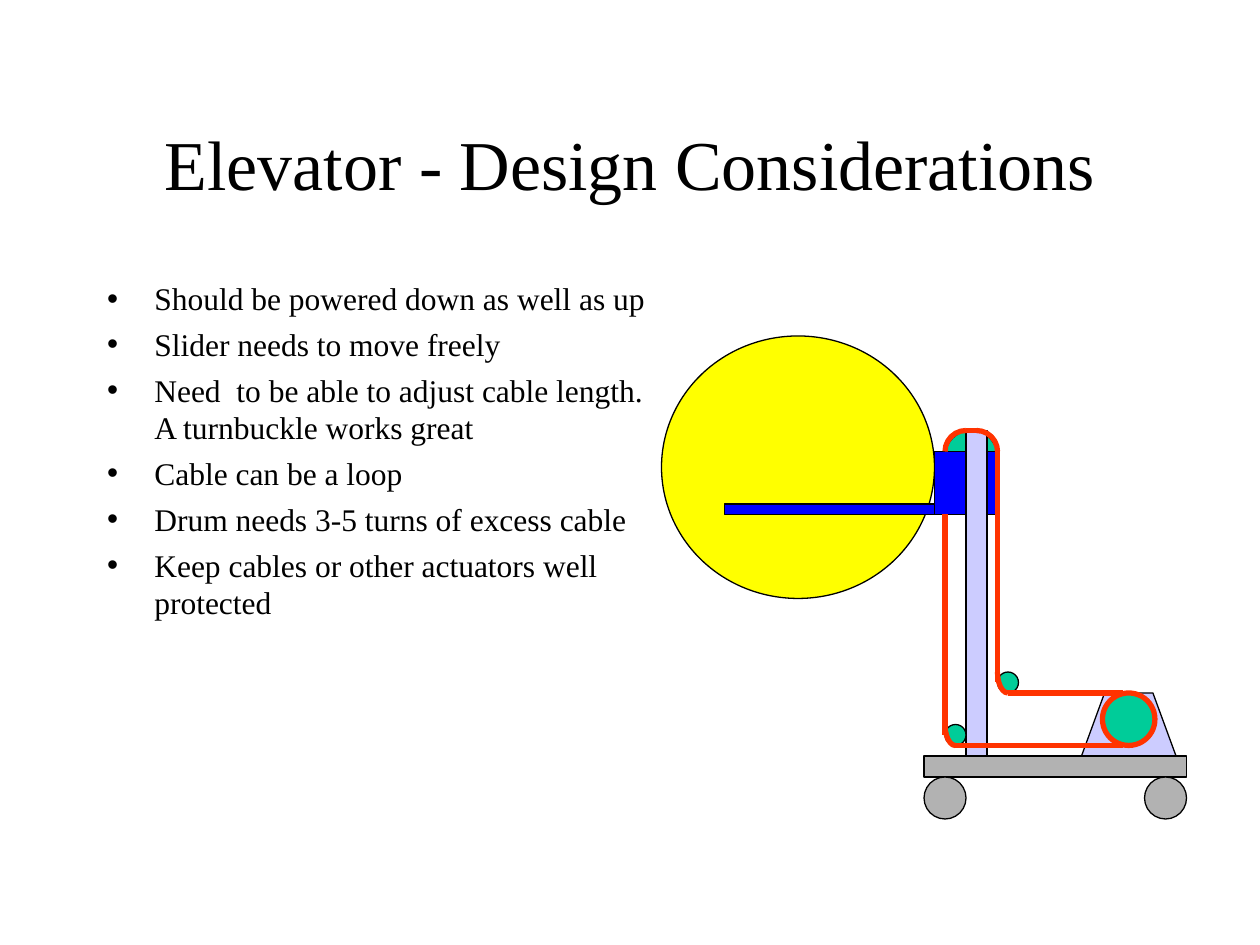
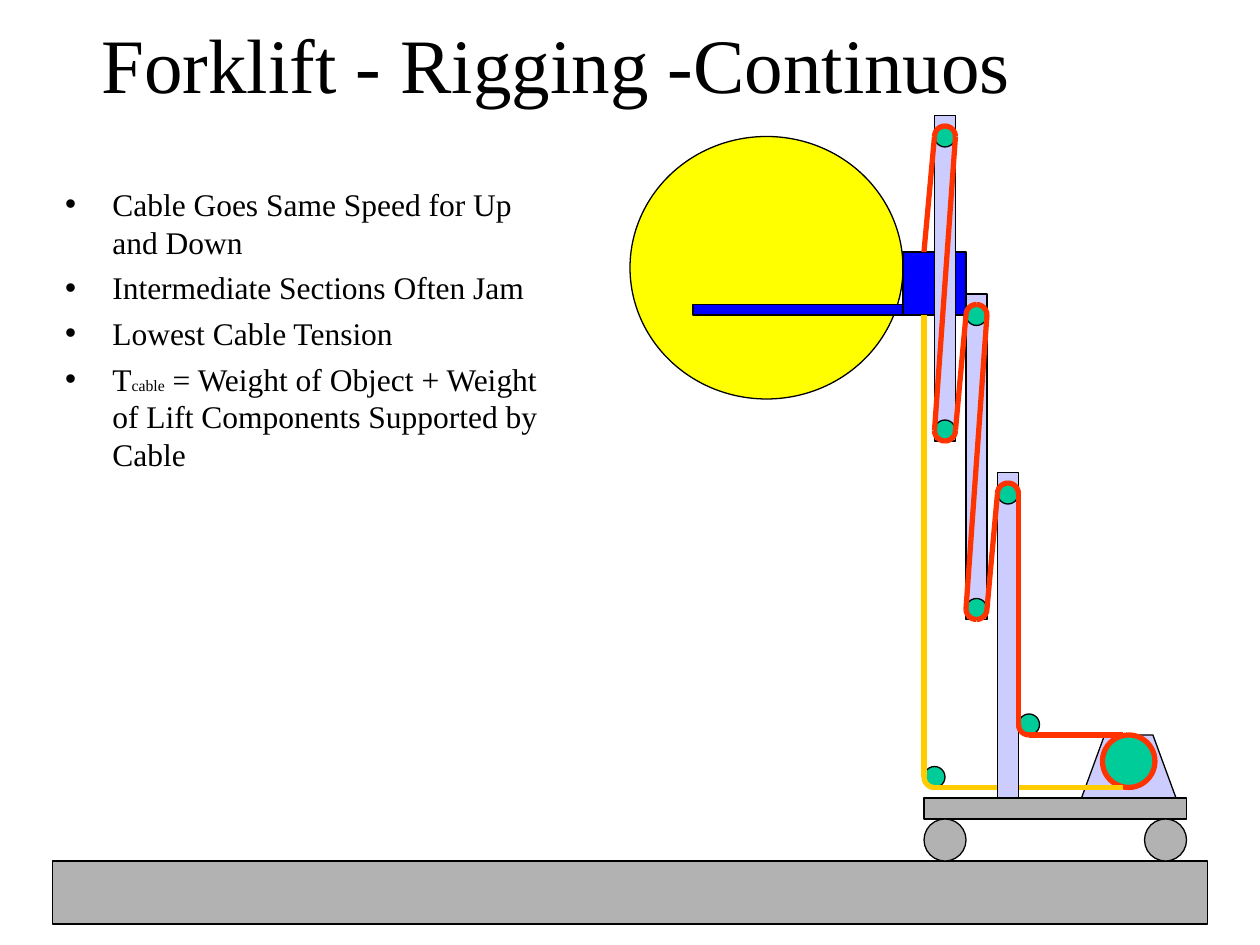
import pptx
import pptx.dml.color
import pptx.enum.shapes
import pptx.enum.text
import pptx.oxml.ns
import pptx.util
import lxml.etree

RGBColor = pptx.dml.color.RGBColor
MSO_SHAPE = pptx.enum.shapes.MSO_SHAPE

BLACK = RGBColor(0x00, 0x00, 0x00)
PULLEY_GREEN = RGBColor(0x00, 0xCC, 0x99)
BALL_YELLOW = RGBColor(0xFF, 0xFF, 0x00)
SLIDER_BLUE = RGBColor(0x00, 0x00, 0xFF)
MAST_LILAC = RGBColor(0xCC, 0xCC, 0xFF)
CART_GREY = RGBColor(0xB2, 0xB2, 0xB2)
CABLE_RED = RGBColor(0xFF, 0x33, 0x00)
RETURN_ORANGE = RGBColor(0xFF, 0xCC, 0x00)

FONT = "Times New Roman"
COLUMNS, ROWS = 120, 90
OUTLINE, CABLE = 0.75, 3
BODY_SIZE = 18
MAST_HEIGHT = 31
RIGHT, BOTTOM, LEFT, TOP = 0, 90, 180, 270


class Sketch:
    def __init__(self, deck):
        self.deck = deck
        self.column = deck.slide_width / COLUMNS
        self.row = deck.slide_height / ROWS
        self.slide = None

    def new_slide(self):
        self.slide = self.deck.slides.add_slide(self.deck.slide_layouts[1])

    def point(self, x, y):
        return round(x * self.column), round(y * self.row)

    def place(self, holder, x, y, width, height):
        holder.left, holder.top = self.point(x, y)
        holder.width, holder.height = self.point(width, height)
        frame = holder.text_frame
        frame.word_wrap = True
        frame.auto_size = pptx.enum.text.MSO_AUTO_SIZE.NONE
        return frame

    def add_words(self, paragraph, words, size):
        run = paragraph.add_run()
        run.text = words
        run.font.name = FONT
        run.font.size = pptx.util.Pt(size)
        run.font.color.rgb = BLACK

    def title(self, words, box, size):
        frame = self.place(self.slide.shapes.title, *box)
        frame.vertical_anchor = pptx.enum.text.MSO_ANCHOR.MIDDLE
        heading = frame.paragraphs[0]
        heading.alignment = pptx.enum.text.PP_ALIGN.CENTER
        self.add_words(heading, words, size)

    def bullets(self, points, box):
        frame = self.place(self.slide.placeholders[1], *box)
        frame.vertical_anchor = pptx.enum.text.MSO_ANCHOR.TOP
        indent = pptx.util.Inches(0.375)
        for index, runs in enumerate(points):
            point = frame.add_paragraph() if index else frame.paragraphs[0]
            point.space_before = pptx.util.Pt(4.5)
            properties = point._p.get_or_add_pPr()
            properties.set("marL", str(indent))
            properties.set("indent", str(-indent))
            bullet = lxml.etree.SubElement(properties, pptx.oxml.ns.qn("a:buChar"))
            bullet.set("char", "•")
            for words, size in runs:
                self.add_words(point, words, size)

    def paint(self, shape, fill, line, weight):
        shape.shadow.inherit = False
        if fill is None:
            shape.fill.background()
        else:
            shape.fill.solid()
            shape.fill.fore_color.rgb = fill
        shape.line.color.rgb = line
        shape.line.width = pptx.util.Pt(weight)
        return shape

    def preset(self, kind, box, fill, line=BLACK, weight=OUTLINE):
        x, y, width, height = box
        shape = self.slide.shapes.add_shape(
            kind, *self.point(x, y), *self.point(width, height))
        return self.paint(shape, fill, line, weight)

    def bar(self, box, fill):
        self.preset(MSO_SHAPE.RECTANGLE, box, fill)

    def disc(self, box, fill, **outline):
        self.preset(MSO_SHAPE.OVAL, box, fill, **outline)

    def bend(self, box, start, fill=None, color=CABLE_RED):
        arc = self.preset(MSO_SHAPE.ARC, box, fill, color, CABLE)
        arc.adjustments[0] = start * 0.6
        arc.adjustments[1] = (start + 90) % 360 * 0.6

    def cable(self, start, end, color=CABLE_RED):
        strand = self.slide.shapes.add_connector(
            pptx.enum.shapes.MSO_CONNECTOR.STRAIGHT,
            *self.point(*start), *self.point(*end))
        strand.line.color.rgb = color
        strand.line.width = pptx.util.Pt(CABLE)
        lxml.etree.SubElement(strand._element.spPr, pptx.oxml.ns.qn("a:effectLst"))

    def polygon(self, corners, fill):
        first, *rest = [self.point(*corner) for corner in corners]
        builder = self.slide.shapes.build_freeform(*first, scale=1.0)
        builder.add_line_segments(rest, close=True)
        self.paint(builder.convert_to_shape(), fill, BLACK, OUTLINE)

    def mast(self, x, y):
        self.bar((x, y, 2, MAST_HEIGHT), MAST_LILAC)

    def idler(self, x, y):
        self.disc((x, y, 2, 2), PULLEY_GREEN)

    def sheave(self, x, y, quadrants):
        self.idler(x, y)
        for start in quadrants:
            self.bend((x, y, 2, 2), start, PULLEY_GREEN)

    def load(self, x, y):
        self.disc((x, y, 26, 25), BALL_YELLOW)
        self.bar((x + 26, y + 11, 6, 6), SLIDER_BLUE)
        self.bar((x + 6, y + 16, 20, 1), SLIDER_BLUE)

    def cart(self, deck_row):
        mount_row = deck_row - 6
        self.polygon([(103, deck_row), (112, deck_row),
                      (109.8, mount_row), (105.2, mount_row)], MAST_LILAC)
        self.bar((88, deck_row, 25, 2), CART_GREY)
        for wheel in (88, 109):
            self.disc((wheel, deck_row + 2, 4, 4), CART_GREY)
        drum = (105, mount_row, 5, 5)
        self.disc(drum, PULLEY_GREEN)
        self.disc(drum, None, line=CABLE_RED, weight=CABLE)


def plain(*points):
    return [[(words, BODY_SIZE)] for words in points]


def elevator(sketch):
    sketch.new_slide()
    sketch.title("Elevator - Design Considerations", (0, 8, 120, 15), 40)
    sketch.bullets(plain(
        "Should be powered down as well as up",
        "Slider needs to move freely",
        "Need  to be able to adjust cable length. A turnbuckle works great",
        "Cable can be a loop",
        "Drum needs 3-5 turns of excess cable",
        "Keep cables or other actuators well protected",
    ), (9, 26, 54, 54))
    sketch.disc((90, 41, 5, 5), PULLEY_GREEN)
    sketch.load(63, 32)
    sketch.cart(72)
    sketch.mast(92, 41)
    sketch.idler(90, 69)
    sketch.idler(95, 64)
    sketch.bend((91, 41, 4, 4), TOP)
    sketch.bend((90, 41, 4, 4), LEFT)
    sketch.bend((90, 67, 2, 4), BOTTOM)
    sketch.bend((95, 62, 2, 4), BOTTOM)
    sketch.cable((96, 66), (107, 66))
    sketch.cable((91, 71), (107, 71))
    sketch.cable((92, 41), (93, 41))
    sketch.cable((95, 43), (95, 65))
    sketch.cable((90, 70), (90, 49))


def forklift(sketch):
    sketch.new_slide()
    sketch.title("Forklift - Rigging -Continuos", (3, 2, 100, 8), 44)
    sketch.bullets(plain(
        "Cable Goes Same Speed for Up and Down",
        "Intermediate Sections Often Jam",
        "Lowest Cable Tension",
    ) + [[
        ("T", BODY_SIZE),
        ("cable", 9),
        (" = Weight of Object + Weight of Lift Components Supported by Cable", BODY_SIZE),
    ]], (5, 17, 50, 68))
    sketch.bar((5, 82, 110, 6), CART_GREY)
    sketch.cart(76)
    sketch.idler(88, 73)
    sketch.idler(97, 68)
    sketch.cable((98, 70), (107, 70))
    sketch.cable((89, 75), (107, 75), RETURN_ORANGE)

    stages = [(95 - 3 * stage, 45 - 17 * stage) for stage in range(3)]
    fixed, middle, inner = stages
    sketch.mast(*middle)
    sketch.load(60, 13)
    sketch.mast(*inner)
    sketch.mast(*fixed)

    sketch.bend((97, 68, 2, 2), BOTTOM, PULLEY_GREEN)
    sketch.bend((88, 73, 2, 2), BOTTOM, PULLEY_GREEN, RETURN_ORANGE)
    sketch.cable((88, 74), (88, 30), RETURN_ORANGE)
    for x, y in stages:
        sketch.sheave(x, y + 1, (TOP, LEFT))
    for x, y in (middle, inner):
        sketch.sheave(x, y + 29, (RIGHT, BOTTOM))
        sketch.cable((x + 2, y + 2), (x, y + 30))
    for (x, y), (next_x, next_y) in zip(stages, stages[1:]):
        sketch.cable((x, y + 2), (next_x + 2, next_y + 30))
    sketch.cable((89, 13), (88, 24))
    sketch.cable((97, 47), (97, 69))


def main():
    deck = pptx.Presentation()
    deck.slide_width = pptx.util.Inches(10)
    deck.slide_height = pptx.util.Inches(7.5)
    sketch = Sketch(deck)
    elevator(sketch)
    forklift(sketch)
    deck.save("out.pptx")


if __name__ == "__main__":
    main()
